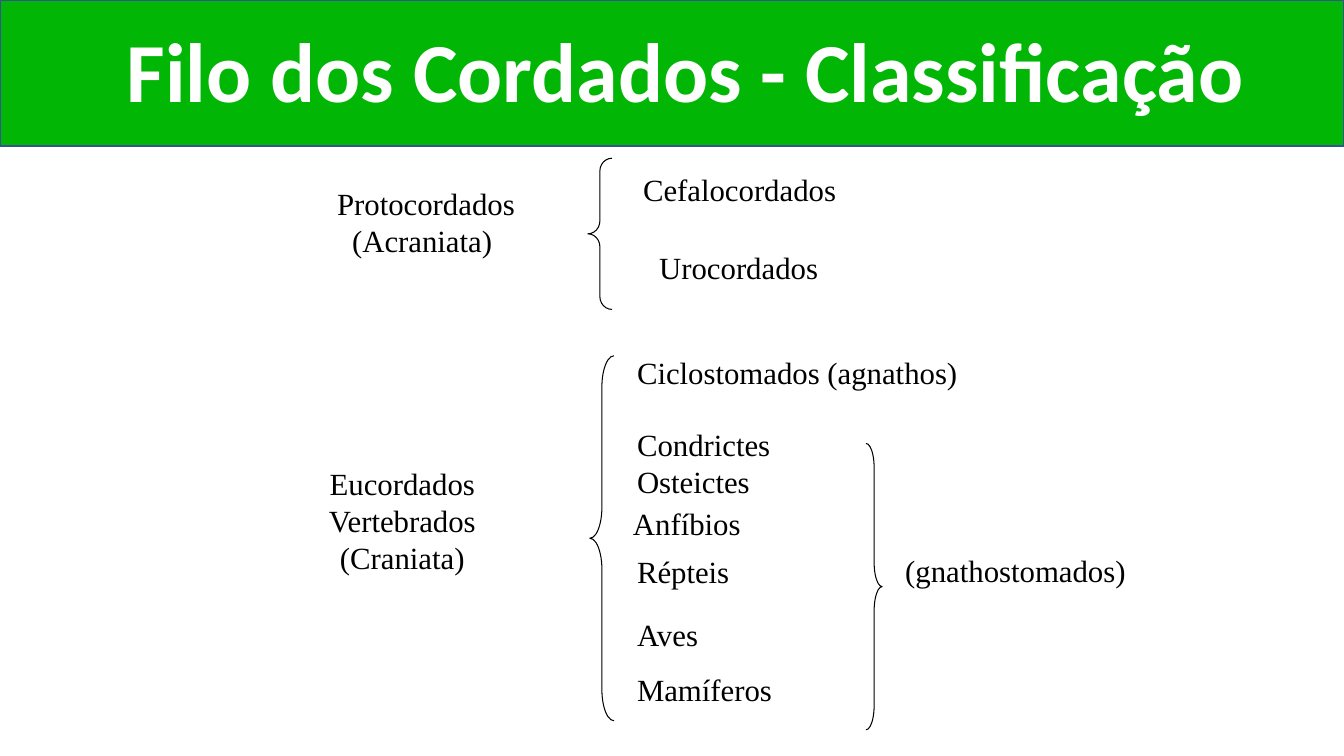
from pptx import Presentation
from pptx.dml.color import RGBColor
from pptx.enum.shapes import MSO_SHAPE as Shape
from pptx.enum.text import MSO_ANCHOR as Anchor, MSO_AUTO_SIZE as AutoSize, PP_ALIGN as Align
from pptx.util import Inches, Pt

GREEN = RGBColor(0x02, 0xB6, 0x06)
BLUE = RGBColor(0x32, 0x54, 0x91)
WHITE = RGBColor(0xFF, 0xFF, 0xFF)
BLACK = RGBColor(0x00, 0x00, 0x00)


class ClassificationSlide:
    title_font = "Calibri"
    body_font = "Times New Roman"
    body_size = Pt(22)

    def __init__(self, prs):
        self.slide = prs.slides.add_slide(prs.slide_layouts[5])
        self.shapes = self.slide.shapes

    def outline(self, kind, box, color, width):
        shape = self.shapes.add_shape(kind, *map(Inches, box))
        shape.shadow.inherit = False
        shape.line.color.rgb = color
        shape.line.width = Pt(width)
        return shape

    def banner(self, text):
        band = self.outline(Shape.RECTANGLE, (0, 0, 13.33, 1.45), BLUE, 1)
        band.fill.solid()
        band.fill.fore_color.rgb = GREEN

        title = self.shapes.title
        band.element.addnext(title.element)  # the title sits above the band
        title.left, title.top = Inches(0.63), Inches(0.02)
        title.width, title.height = Inches(12.34), Inches(1.45)
        frame = title.text_frame
        frame.text = text
        frame.auto_size = AutoSize.NONE
        frame.vertical_anchor = Anchor.MIDDLE
        heading = frame.paragraphs[0]
        heading.alignment = Align.CENTER
        heading.line_spacing = 0.9
        font = heading.font
        font.name, font.size, font.bold = self.title_font, Pt(60), True
        font.color.rgb = WHITE

    def label(self, box, text, align=Align.LEFT):
        frame = self.shapes.add_textbox(*map(Inches, box)).text_frame
        frame.word_wrap = False
        frame.auto_size = AutoSize.SHAPE_TO_FIT_TEXT
        frame.text = text
        for paragraph in frame.paragraphs:
            paragraph.alignment = align
            paragraph.font.name = self.body_font
            paragraph.font.size = self.body_size
            paragraph.font.color.rgb = BLACK

    def brace(self, kind, box, curve):
        brace = self.outline(kind, box, BLACK, 0.75)
        brace.fill.background()
        brace.adjustments[0] = curve
        brace.adjustments[1] = 0.5


def main():
    prs = Presentation()
    prs.slide_width, prs.slide_height = Inches(13.33), Inches(7.5)
    page = ClassificationSlide(prs)
    page.banner("Filo dos Cordados - Classificação")

    # Groups on the left
    page.label((3.16, 1.78, 2.13, 0.84), "Protocordados\n(Acraniata) ", Align.CENTER)
    page.label((3.08, 4.56, 1.82, 1.21), "Eucordados\nVertebrados\n(Craniata)", Align.CENTER)

    # Classes: left, top, width, text
    line_height = 0.47
    classes = [
        (6.28, 1.64, 2.14, "Cefalocordados"),
        (6.44, 2.42, 1.8, "Urocordados"),
        (6.22, 3.46, 3.5, "Ciclostomados (agnathos)"),
        (6.18, 4.96, 1.33, "Anfíbios"),
        (6.22, 5.43, 1.13, "Répteis"),
        (6.22, 6.06, 0.81, "Aves"),
        (6.22, 6.61, 1.56, "Mamíferos"),
        (8.88, 5.42, 2.55, "(gnathostomados)"),
    ]
    for left, top, width, name in classes:
        page.label((left, top, width, line_height), name)
    page.label((6.22, 4.17, 1.54, 0.84), "Condrictes\nOsteictes")

    # Braces joining groups and classes
    page.brace(Shape.LEFT_BRACE, (5.83, 1.57, 0.24, 1.5), 0.53)
    page.brace(Shape.LEFT_BRACE, (5.85, 3.53, 0.24, 3.62), 1.28)
    page.brace(Shape.RIGHT_BRACE, (8.59, 4.4, 0.16, 2.84), 1.51)

    prs.save("out.pptx")


if __name__ == "__main__":
    main()
